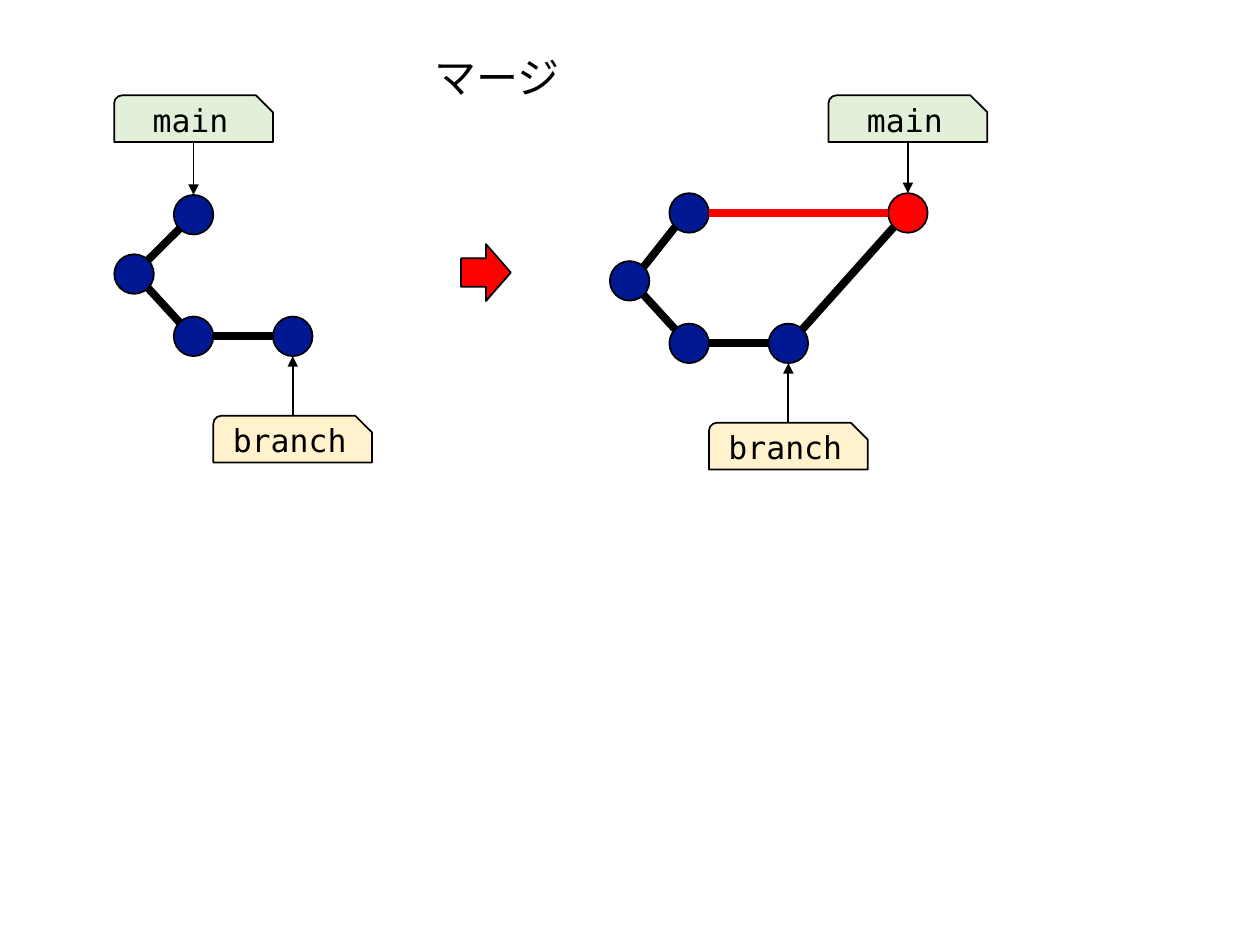
from dataclasses import dataclass
from math import hypot

from lxml import etree
from pptx import Presentation
from pptx.dml.color import RGBColor
from pptx.enum.shapes import MSO_CONNECTOR, MSO_SHAPE
from pptx.enum.text import MSO_ANCHOR, MSO_AUTO_SIZE, PP_ALIGN
from pptx.oxml.ns import qn
from pptx.util import Pt

ELLIPSE = MSO_SHAPE.OVAL
TAG = MSO_SHAPE.SNIP_ROUND_RECTANGLE
RIGHT_ARROW = MSO_SHAPE.RIGHT_ARROW
STRAIGHT = MSO_CONNECTOR.STRAIGHT
CENTER, LEFT = PP_ALIGN.CENTER, PP_ALIGN.LEFT
MIDDLE, TOP = MSO_ANCHOR.MIDDLE, MSO_ANCHOR.TOP
GROW = MSO_AUTO_SIZE.SHAPE_TO_FIT_TEXT


@dataclass(frozen=True)
class Theme:
    """Colours, fonts and type sizes of the slide."""
    ink: str = "000000"
    commit: str = "011893"
    merge: str = "FF0000"
    main_tag: str = "E2F0D9"
    branch_tag: str = "FFF2CC"
    title_font: str = "Cabin"
    code_font: str = "DejaVu Sans Mono"
    title_size: float = 24
    tag_size: float = 18
    outline: float = 1
    edge: float = 4.5


THEME = Theme()
NODE_SIZE = 22.6
TAG_WIDTH, TAG_HEIGHT = 90.7, 26.7
BRANCH_GAP = 34.1
START_X, FORK_X, BRANCH_X, MERGE_X = 11.3, 45.3, 102, 170.3


def add_shape(slide, preset, box, color):
    """Add a filled, outlined preset shape."""
    shape = slide.shapes.add_shape(preset, *(Pt(length) for length in box))
    shape.shadow.inherit = False
    shape.fill.solid()
    shape.fill.fore_color.rgb = RGBColor.from_string(color)
    shape.line.color.rgb = RGBColor.from_string(THEME.ink)
    shape.line.width = Pt(THEME.outline)
    return shape


def add_run(paragraph, text, font_name, size):
    """Add one run of text in the ink colour."""
    run = paragraph.add_run()
    run.text = text
    run.font.name = font_name
    run.font.size = Pt(size)
    run.font.color.rgb = RGBColor.from_string(THEME.ink)


def add_line(slide, start, end, color, width, arrow=False):
    """Add a straight line, with an arrowhead at its end if asked."""
    points = (Pt(length) for length in (*start, *end))
    connector = slide.shapes.add_connector(STRAIGHT, *points)
    connector.line.color.rgb = RGBColor.from_string(color)
    connector.line.width = Pt(width)
    if arrow:
        outline = connector.line._get_or_add_ln()
        etree.SubElement(outline, qn("a:tailEnd"), type="triangle")
    etree.SubElement(connector._element.spPr, qn("a:effectLst"))


def add_node(slide, center, color):
    """Add a commit circle around its centre."""
    x, y = center
    half = NODE_SIZE / 2
    add_shape(slide, ELLIPSE, (x - half, y - half, NODE_SIZE, NODE_SIZE), color)


def add_edge(slide, start, end, color):
    """Join two commits at their nearest side or diagonal points."""
    across = (end[0] > start[0]) - (end[0] < start[0])
    down = (end[1] > start[1]) - (end[1] < start[1])
    reach = NODE_SIZE / 2 / hypot(across, down)
    shift_x, shift_y = across * reach, down * reach
    add_line(slide, (start[0] + shift_x, start[1] + shift_y),
             (end[0] - shift_x, end[1] - shift_y), color, THEME.edge)


def add_tag(slide, text, center_x, top, color):
    """Add a name tag centred on a commit's column."""
    box = (center_x - TAG_WIDTH / 2, top, TAG_WIDTH, TAG_HEIGHT)
    tag = add_shape(slide, TAG, box, color)
    tag.adjustments[0] = 0.17
    tag.adjustments[1] = 0.36
    frame = tag.text_frame
    frame.margin_left = frame.margin_right = 0
    frame.margin_top = frame.margin_bottom = 0
    frame.word_wrap = True
    frame.vertical_anchor = MIDDLE
    paragraph = frame.paragraphs[0]
    paragraph.alignment = CENTER
    add_run(paragraph, text, THEME.code_font, THEME.tag_size)


def add_history(slide, left, top, rows, merged):
    """Draw a commit history with its main and branch tags."""
    main_y, start_y, branch_y = (top + row for row in rows)
    main = (left + FORK_X, main_y)
    start = (left + START_X, start_y)
    fork = (left + FORK_X, branch_y)
    branch = (left + BRANCH_X, branch_y)
    merge = (left + MERGE_X, main_y)
    edges = [(start, main, THEME.ink), (start, fork, THEME.ink),
             (fork, branch, THEME.ink)]
    if merged:
        edges += [(main, merge, THEME.merge), (branch, merge, THEME.ink)]
        add_node(slide, merge, THEME.merge)
    for center in (main, start, fork, branch):
        add_node(slide, center, THEME.commit)
    for edge in edges:
        add_edge(slide, *edge)

    half = NODE_SIZE / 2
    head_x = merge[0] if merged else main[0]
    add_tag(slide, "main", head_x, top, THEME.main_tag)
    add_line(slide, (head_x, top + TAG_HEIGHT), (head_x, main_y - half),
             THEME.ink, THEME.outline, arrow=True)
    branch_bottom = branch_y + half
    tag_top = branch_bottom + BRANCH_GAP
    add_tag(slide, "branch", branch[0], tag_top, THEME.branch_tag)
    add_line(slide, (branch[0], tag_top), (branch[0], branch_bottom),
             THEME.ink, THEME.outline, arrow=True)


def add_title(slide, left, top, width, height):
    """Place the slide title."""
    title = slide.shapes.title
    title.left, title.top = Pt(left), Pt(top)
    title.width, title.height = Pt(width), Pt(height)
    frame = title.text_frame
    frame.word_wrap = False
    frame.auto_size = GROW
    frame.vertical_anchor = TOP
    paragraph = frame.paragraphs[0]
    paragraph.alignment = LEFT
    add_run(paragraph, "マージ", THEME.title_font, THEME.title_size)


def main():
    """Build and save the slide."""
    presentation = Presentation()
    presentation.slide_width, presentation.slide_height = Pt(720), Pt(540)
    slide = presentation.slides.add_slide(presentation.slide_layouts[5])
    add_title(slide, 241.2, 26, 87, 36)
    add_history(slide, 65.3, 54.5, (68.2, 102.1, 137.7), merged=False)
    add_shape(slide, RIGHT_ARROW, (263.5, 139.5, 28.4, 32.5), THEME.merge)
    add_history(slide, 348.5, 54.5, (67.2, 106, 141.7), merged=True)
    presentation.save("out.pptx")


if __name__ == "__main__":
    main()
